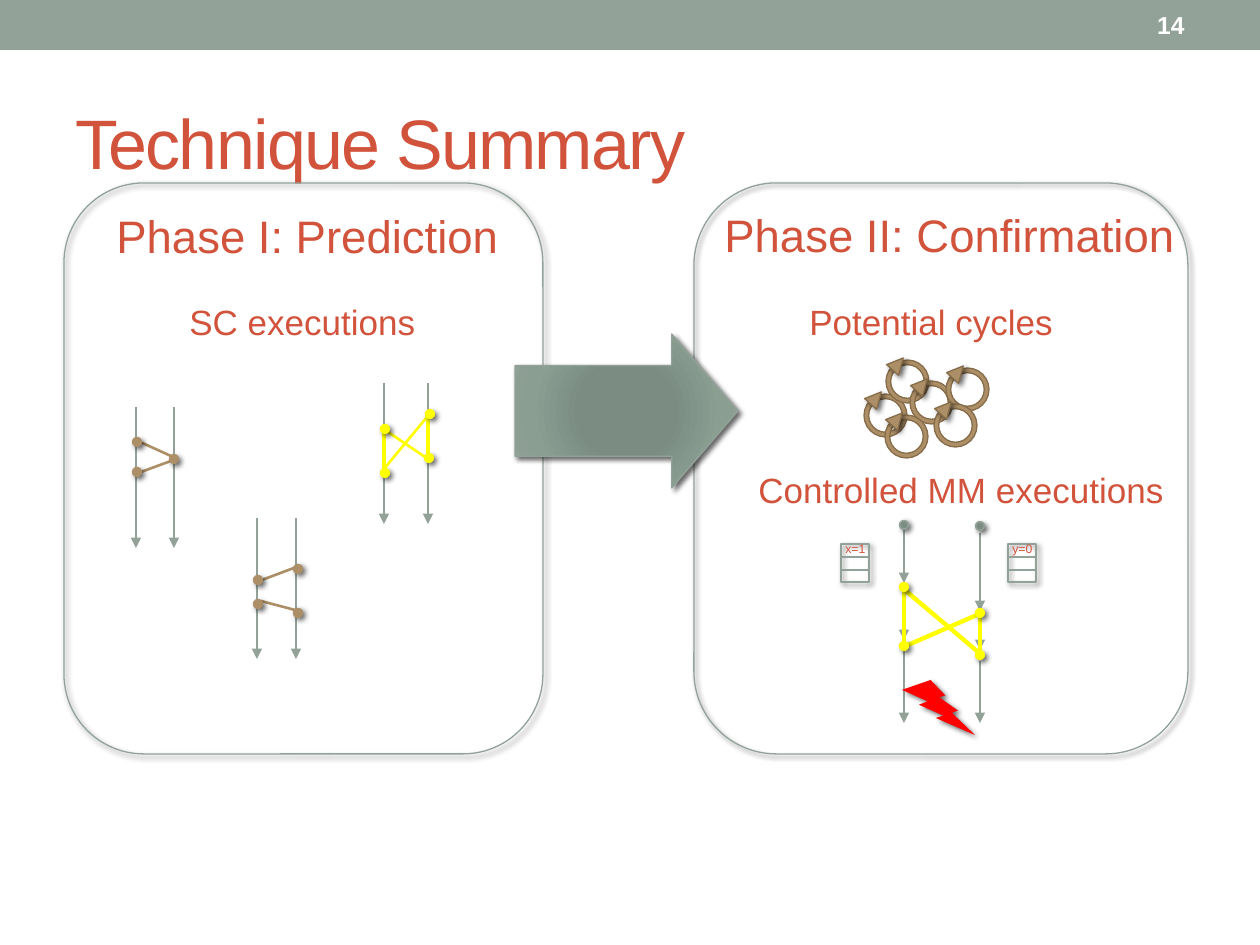
from lxml import etree
from pptx import Presentation
from pptx.dml.color import RGBColor
from pptx.enum.shapes import MSO_CONNECTOR, MSO_SHAPE
from pptx.enum.text import MSO_ANCHOR, MSO_AUTO_SIZE, PP_ALIGN
from pptx.oxml import parse_xml
from pptx.oxml.ns import qn
from pptx.util import Emu, Pt

PX = 914400 // 126
NS = 'xmlns:a="http://schemas.openxmlformats.org/drawingml/2006/main"'
STRAIGHT = MSO_CONNECTOR.STRAIGHT
OVAL, RECT, ROUND = MSO_SHAPE.OVAL, MSO_SHAPE.RECTANGLE, MSO_SHAPE.ROUNDED_RECTANGLE
ARROW, DONUT = MSO_SHAPE.RIGHT_ARROW, MSO_SHAPE.DONUT
TRIANGLE, BOLT = MSO_SHAPE.ISOSCELES_TRIANGLE, MSO_SHAPE.LIGHTNING_BOLT
MIDDLE, TOP = MSO_ANCHOR.MIDDLE, MSO_ANCHOR.TOP
LEFT, RIGHT = PP_ALIGN.LEFT, PP_ALIGN.RIGHT
GROW, FIXED = MSO_AUTO_SIZE.SHAPE_TO_FIT_TEXT, MSO_AUTO_SIZE.NONE

COLORS = {"sage": "93A299", "red": "D2533C", "white": "FFFFFF", "tan": "AD8F67",
          "brown": "866C49", "yellow": "FFFF00", "bolt": "FF0000"}
SAGE_GRADIENT = [(0, "7B8E82"), (34, "7B8D83"), (70, "8A9E92"), (100, "93A299")]

# Text, box, size
HEADINGS = [
    ("Phase I: Prediction", (104, 202, 446, 68), 26),
    ("SC executions", (177, 294, 252, 55), 20),
    ("Phase II: Confirmation", (712, 201, 559, 68), 26),
    ("Potential cycles", (797, 294, 312, 55), 20),
    ("Controlled MM executions", (746, 462, 595, 55), 20),
]
PANELS = [(64, 183, 479, 571), (694, 183, 494, 571)]
PHASE_ARROW = (515, 334, 223, 154)

# Phase I: pairs of threads (left x, right x, top), events and links between them
THREAD_LENGTH = 141
SC_THREADS = [(136, 174, 407), (257, 296, 518), (384, 428, 383)]
SC_EVENTS = {
    "tan": [(137, 472), (174, 459), (137, 442), (258, 580), (298, 613), (298, 569), (258, 604)],
    "yellow": [(385, 429), (429, 458), (430, 414), (385, 473)],
}
SC_LINKS = [
    ("yellow", 1.5, [(427, 417, 384, 469), (425, 457, 388, 432)]),
    ("tan", 1.5, [(295, 610, 261, 601), (171, 461, 141, 472),
                  (140, 442, 171, 456), (294, 568, 262, 580)]),
    ("yellow", 2.25, [(428, 416, 428, 459), (384, 432, 384, 471)]),
]

# Phase II: cycles, store buffers and controlled threads (x, start, steps)
CYCLES = [(864, 394), (886, 360), (910, 381), (946, 368), (934, 404), (885, 415)]
BUFFERS = [("x=1", 841), ("y=0", 1008)]
MM_THREADS = [
    (904, 525, [(530, 583), (596, 640), (650, 723)]),
    (980, 526, [(533, 611), (617, 650), (661, 723)]),
]
MM_LINKS = [(904, 592, 904, 641), (906, 591, 977, 651), (977, 615, 908, 645), (980, 617, 980, 650)]
MM_CYCLE = [(980, 613), (904, 587), (980, 655), (904, 646)]
BOLT_BOX = (902, 680, 73, 55)


def rgb(name):
    """Colour object for a palette name."""
    return RGBColor.from_string(COLORS[name])


def px(values):
    """Convert pixels to EMU."""
    return [Emu(round(v * PX)) for v in values]


def add_gradient(shape):
    """Fill a shape with the radial sage gradient."""
    stops = "".join(f'<a:gs pos="{pos * 1000}"><a:srgbClr val="{color}"/></a:gs>'
                    for pos, color in SAGE_GRADIENT)
    shape.fill.solid()
    solid = shape._element.spPr.find(qn("a:solidFill"))
    solid.getparent().replace(solid, parse_xml(
        f'<a:gradFill {NS} rotWithShape="1"><a:gsLst>{stops}</a:gsLst><a:path path="circle">'
        '<a:fillToRect l="100000" t="100000" r="100000" b="100000"/></a:path></a:gradFill>'))


def add_part(kind, box, fill=None, line=None, width=0.75, shadow=True, adjust=()):
    """Add a preset shape; fill is a palette name, "gradient" or None."""
    shape = slide.shapes.add_shape(kind, *px(box))
    if fill == "gradient":
        add_gradient(shape)
    elif fill:
        shape.fill.solid()
        shape.fill.fore_color.rgb = rgb(fill)
    else:
        shape.fill.background()
    if line:
        shape.line.color.rgb = rgb(line)
        shape.line.width = Pt(width)
    else:
        shape.line.fill.background()
    for index, value in enumerate(adjust):
        shape.adjustments[index] = value
    shape.shadow.inherit = False
    if shadow:
        shape._element.spPr.find(qn("a:effectLst")).append(parse_xml(
            f'<a:outerShdw {NS} blurRad="38100" dist="25400" dir="2700000" rotWithShape="0">'
            '<a:srgbClr val="000000"><a:alpha val="60000"/></a:srgbClr></a:outerShdw>'))
    return shape


def add_line(ends, color="sage", width=1.0, arrow=False):
    """Add a straight line, with an arrowhead at its end if asked."""
    link = slide.shapes.add_connector(STRAIGHT, *px(ends))
    link.line.color.rgb = rgb(color)
    link.line.width = Pt(width)
    if arrow:
        etree.SubElement(link.line._get_or_add_ln(), qn("a:tailEnd"), type="triangle")
    etree.SubElement(link._element.spPr, qn("a:effectLst"))


def add_event(center, fill, line):
    """Add an event dot around its centre."""
    x, y = center
    add_part(OVAL, (x - 4.5, y - 4.5, 9, 9), fill, line)


def add_text(text, box, size, color="red", bold=False, align=LEFT,
             anchor=TOP, wrap=True, fit=GROW):
    """Add a one-paragraph text box and return its paragraph."""
    frame = slide.shapes.add_textbox(*px(box)).text_frame
    frame.word_wrap, frame.auto_size, frame.vertical_anchor = wrap, fit, anchor
    paragraph = frame.paragraphs[0]
    paragraph.text, paragraph.alignment = text, align
    font = paragraph.font
    font.name, font.size, font.bold = "Arial", Pt(size), bold
    font.color.rgb = rgb(color)
    return paragraph


deck = Presentation()
deck.slide_width, deck.slide_height = px((1260, 945))
slide = deck.slides.add_slide(deck.slide_layouts[6])

add_part(RECT, (0, 0, 1260, 50), "sage", shadow=False)
title = add_text("Technique Summary", (63, 73, 1134, 136), 40, anchor=MIDDLE, fit=FIXED)
title.runs[0].font._element.set("spc", "-100")
add_text("14", (1050, 2, 147, 45), 14, "white", True, RIGHT, MIDDLE, fit=FIXED)

for left, right, top in SC_THREADS:
    for x in (left, right):
        add_line((x, top, x, top + THREAD_LENGTH), arrow=True)
for panel in PANELS:
    add_part(ROUND, panel, line="sage")
for color, width, links in SC_LINKS:
    for ends in links:
        add_line(ends, color, width)
for color, events in SC_EVENTS.items():
    for event in events:
        add_event(event, color, color)

add_part(ARROW, PHASE_ARROW, "gradient", "sage", adjust=(0.59, 0.43))
for heading, box, size in HEADINGS:
    add_text(heading, box, size)

for x, y in CYCLES:
    add_part(DONUT, (x, y, 43, 43), "tan", "brown", shadow=False, adjust=(0.11,))
    add_part(TRIANGLE, (x + 4, y - 4, 16, 16), "tan", "brown").rotation = 41.8

for label, x in BUFFERS:
    add_part(RECT, (x, 544, 28, 38), line="sage", width=0.9)
    for y in (557, 570):
        add_line((x, y, x + 28, y), width=0.9)
    add_text(label, (x - 8, 535, 45, 28), 7, wrap=False)

for x, start, steps in MM_THREADS:
    for top, bottom in steps:
        add_line((x, top, x, bottom), arrow=True)
    add_event((x, start), "gradient", "sage")
add_part(BOLT, BOLT_BOX, "bolt")
for ends in MM_LINKS:
    add_line(ends, "yellow", 2.5)
for event in MM_CYCLE:
    add_event(event, "yellow", "yellow")

deck.save("out.pptx")
